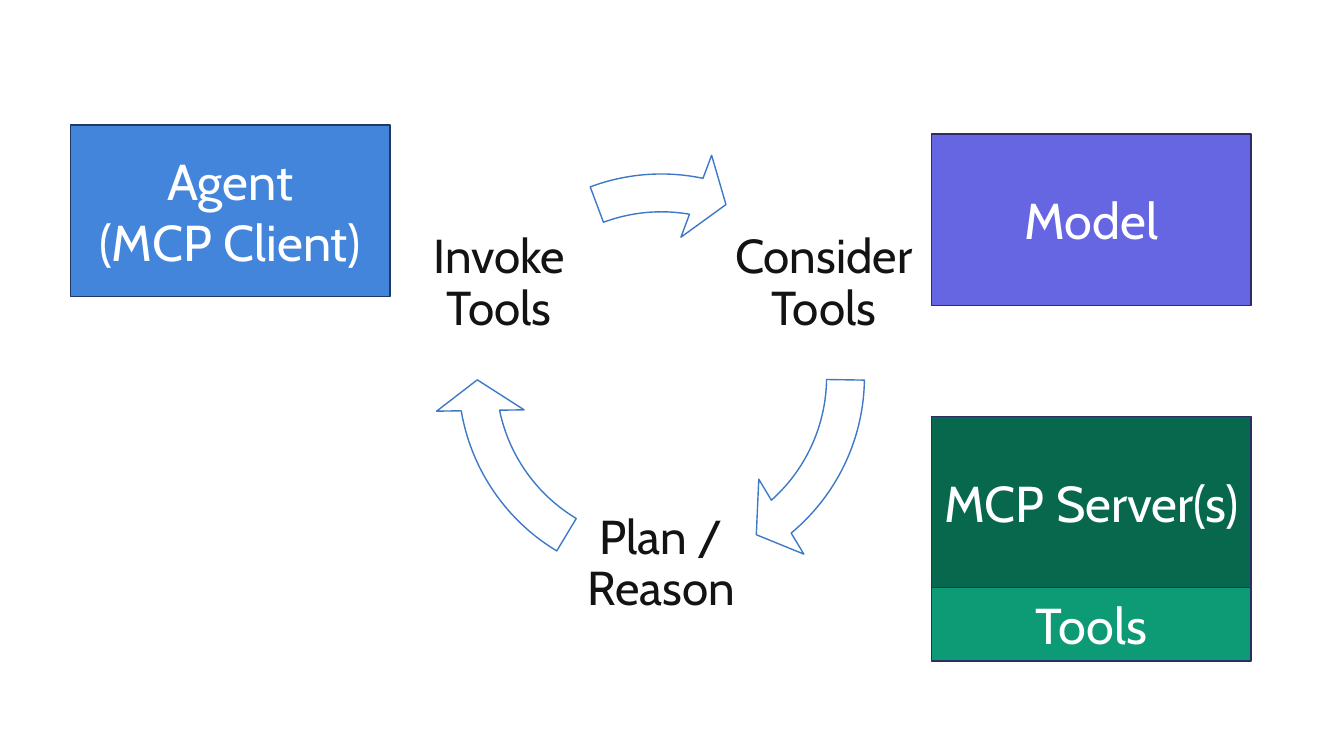
from pptx import Presentation
from pptx.dml.color import RGBColor
from pptx.enum.shapes import MSO_SHAPE
from pptx.enum.text import MSO_ANCHOR, PP_ALIGN
from pptx.util import Inches, Pt

RECT = MSO_SHAPE.RECTANGLE
ARROW = MSO_SHAPE.CIRCULAR_ARROW
MIDDLE = MSO_ANCHOR.MIDDLE
CENTER = PP_ALIGN.CENTER

FONT = "Cabin"
COLORS = {
    "white": "FFFFFF",
    "text": "131313",
    "agent": "4485DC",
    "agent_line": "1E3A60",
    "model": "6666E2",
    "server": "08684E",
    "tools": "0C9B74",
    "box_line": "2D2D63",
    "arrow_line": "3E79C8",
}
BOX_W, BOX_H, TOOLS_H = 3.17, 1.7, 0.73
LABEL_SIZE = 1.92

# label, label offset from the ring's corner, arrow head and tail angles
STEPS = [
    ("Consider Tools", 2.91, 0.38, 29.618, 0.531),
    ("Plan / Reason", 1.3, 3.16, 101.704, 72.616),
    ("Invoke Tools", -0.31, 0.38, 168.548, 149.686),
]


def color(name):
    return RGBColor.from_string(COLORS[name])


def write(sp, lines, size, ink, line_spacing=None):
    tf = sp.text_frame
    tf.word_wrap = True
    tf.vertical_anchor = MIDDLE
    for i, line in enumerate(lines):
        p = tf.add_paragraph() if i else tf.paragraphs[0]
        p.alignment = CENTER
        p.line_spacing = line_spacing
        r = p.add_run()
        r.text = line
        for key, value in {"name": FONT, "size": Pt(size)}.items():
            setattr(r.font, key, value)
        r.font.color.rgb = color(ink)


def add_outlined(slide, kind, x, y, w, h, fill, line):
    sp = slide.shapes.add_shape(kind, Inches(x), Inches(y), Inches(w), Inches(h))
    sp.shadow.inherit = False
    sp.fill.solid()
    sp.fill.fore_color.rgb = color(fill)
    sp.line.color.rgb = color(line)
    sp.line.width = Pt(1)
    return sp


def add_box(slide, x, y, lines, fill, line="box_line", h=BOX_H):
    sp = add_outlined(slide, RECT, x, y, BOX_W, h, fill, line)
    write(sp, lines, 36, "white")


def add_server(slide, x, y):
    """Server box with its tools strip directly below."""
    add_box(slide, x, y, ["MCP Server(s)"], "server")
    add_box(slide, x, y + BOX_H, ["Tools"], "tools", h=TOOLS_H)


def add_label(slide, x, y, text):
    sp = slide.shapes.add_textbox(Inches(x), Inches(y),
                                  Inches(LABEL_SIZE), Inches(LABEL_SIZE))
    tf = sp.text_frame
    for side in ("left", "top", "right", "bottom"):
        setattr(tf, f"margin_{side}", Inches(0.05))
    write(sp, [text], 34, "text", 0.9)


def add_cycle(slide, x, y, size):
    """Ring of step labels joined by arrows that share one square."""
    for text, dx, dy, head, tail in STEPS:
        add_label(slide, x + dx, y + dy, text)
        sp = add_outlined(slide, ARROW, x, y, size, size, "white", "arrow_line")
        for i, value in enumerate((0.083, 5.766, head, tail, 0.096)):
            sp.adjustments[i] = value


def main():
    prs = Presentation()
    prs.slide_width, prs.slide_height = Inches(13.33), Inches(7.5)
    slide = prs.slides.add_slide(prs.slide_layouts[6])
    add_box(slide, 0.7, 1.24, ["Agent", "(MCP Client)"], "agent", "agent_line")
    add_box(slide, 9.24, 1.33, ["Model"], "model")
    add_server(slide, 9.24, 4.13)
    add_cycle(slide, 4.3, 1.48, 4.52)
    prs.save("out.pptx")


if __name__ == "__main__":
    main()
